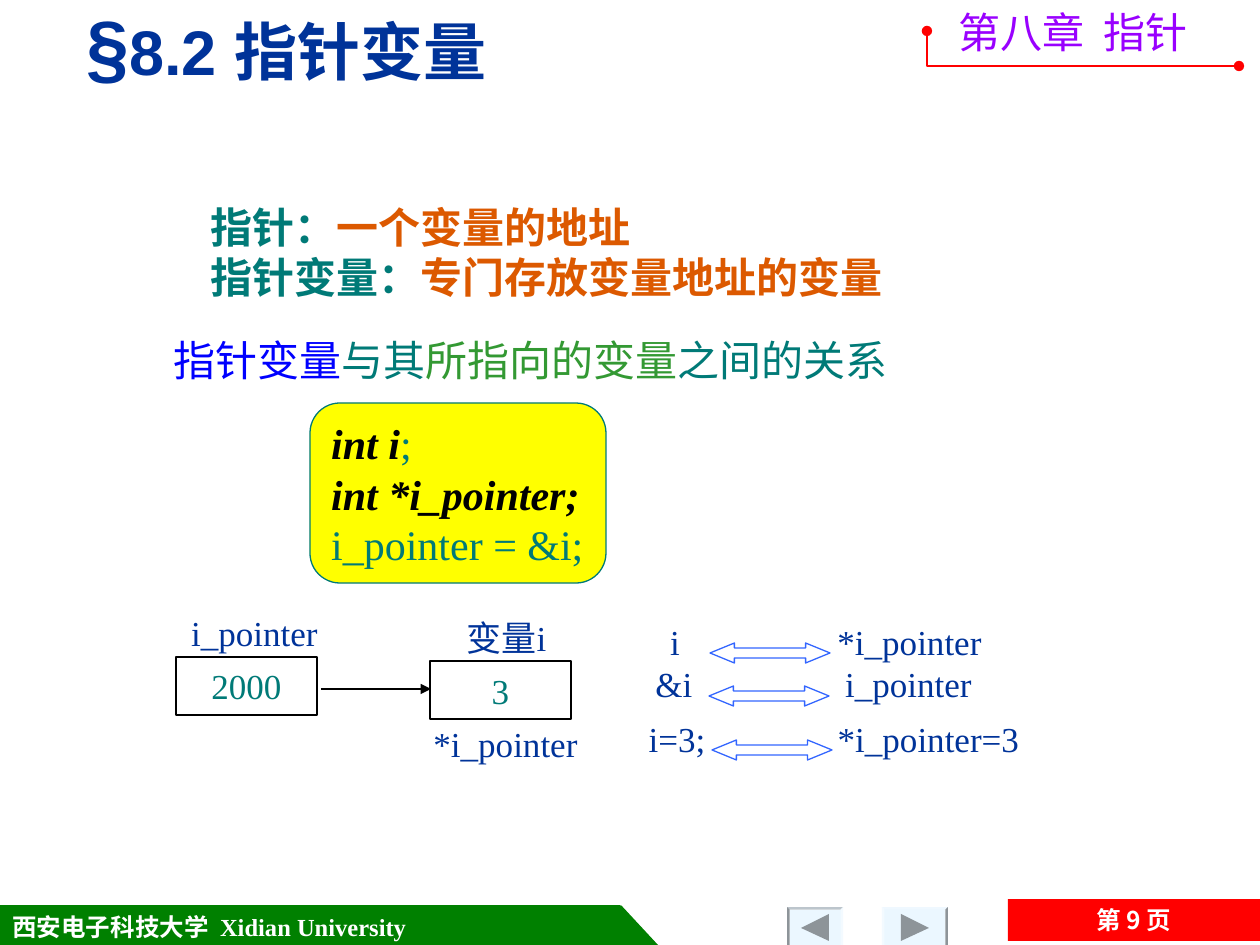
from dataclasses import dataclass
from typing import NamedTuple

from lxml.etree import SubElement
from pptx import Presentation
from pptx.dml.color import RGBColor
from pptx.enum.shapes import MSO_CONNECTOR, MSO_SHAPE
from pptx.enum.text import MSO_ANCHOR, MSO_AUTO_SIZE, PP_ALIGN
from pptx.oxml.ns import qn
from pptx.util import Emu, Pt


@dataclass(frozen=True)
class Theme:
    navy: str = "003399"
    teal: str = "007A77"
    orange: str = "DC5900"
    blue: str = "0000FF"
    leaf: str = "339933"
    purple: str = "9900FF"
    green: str = "008000"
    red: str = "FF0000"
    yellow: str = "FFFF00"
    arrow: str = "3366FF"
    button: str = "EBF7FF"
    symbol: str = "8D9499"
    black: str = "000000"
    white: str = "FFFFFF"
    serif: str = "Times New Roman"
    sans: str = "Arial"
    chinese: str = "Noto Sans CJK SC"
    section: int = 44
    title: int = 36
    body: int = 24
    label: int = 20
    footer: int = 14


THEME = Theme()


class Box(NamedTuple):
    left: int
    top: int
    width: int
    height: int


class Span(NamedTuple):
    text: str
    color: str
    size: int = THEME.body
    font: str = THEME.serif
    bold: bool = False
    italic: bool = False


class Label(NamedTuple):
    text: str
    box: Box


def px(length: int) -> Emu:
    return Emu(round(length * 914400 / 126))


def place(box: Box) -> list[Emu]:
    return [px(length) for length in box]


def paint(shape, fill: str | None, line: str | None, width: float = 0.75) -> None:
    shape.shadow.inherit = False
    if fill:
        shape.fill.solid()
        shape.fill.fore_color.rgb = RGBColor.from_string(fill)
    else:
        shape.fill.background()
    if line:
        shape.line.color.rgb = RGBColor.from_string(line)
        shape.line.width = Pt(width)
    else:
        shape.line.fill.background()


def write(shape, lines: list[list[Span]], align=PP_ALIGN.LEFT,
          anchor=MSO_ANCHOR.TOP, wrap: bool = True, spacing: float = 1.0) -> None:
    frame = shape.text_frame
    frame.auto_size = MSO_AUTO_SIZE.NONE
    frame.word_wrap = wrap
    frame.vertical_anchor = anchor
    frame.text = "\n".join("" for _ in lines)
    for para, spans in zip(frame.paragraphs, lines):
        para.alignment = align
        para.line_spacing = spacing
        para.space_before = Pt(0)
        for span in spans:
            run = para.add_run()
            run.text = span.text
            font = run.font
            font.name, font.size = span.font, Pt(span.size)
            font.bold, font.italic = span.bold, span.italic
            font.color.rgb = RGBColor.from_string(span.color)
            SubElement(run._r.get_or_add_rPr(), qn("a:ea"), typeface=THEME.chinese)


def add_preset(page, kind, box: Box, fill: str, line: str | None = None):
    shape = page.shapes.add_shape(kind, *place(box))
    paint(shape, fill, line)
    return shape


def add_text(page, box: Box, lines: list[list[Span]], **layout) -> None:
    write(page.shapes.add_textbox(*place(box)), lines, **layout)


def add_outline(page, points: list[tuple[int, int]], close: bool):
    builder = page.shapes.build_freeform(*points[0], scale=914400 / 126)
    builder.add_line_segments(points[1:], close=close)
    return builder.convert_to_shape()


def add_ends(shape, **ends: str) -> None:
    line = shape.line._get_or_add_ln()
    for name, kind in ends.items():
        SubElement(line, qn(f"a:{name}"), type=kind)


def add_label(page, label: Label) -> None:
    add_text(page, label.box, [[Span(label.text, THEME.navy, THEME.label)]],
             align=PP_ALIGN.CENTER, anchor=MSO_ANCHOR.MIDDLE, wrap=False)


def add_cell(page, box: Box, value: str) -> None:
    cell = add_preset(page, MSO_SHAPE.RECTANGLE, box, THEME.white, THEME.black)
    write(cell, [[Span(value, THEME.teal, THEME.label)]],
          align=PP_ALIGN.CENTER, anchor=MSO_ANCHOR.MIDDLE, wrap=False)


def add_button(page, box: Box, base: int, tip: int, rotation: int) -> None:
    bevel = add_preset(page, MSO_SHAPE.BEVEL, box, THEME.button)
    bevel.adjustments[0] = 0.06
    bevel.rotation = rotation
    triangle = add_outline(page, [(base, 914), (tip, 928), (base, 941)], close=True)
    paint(triangle, THEME.symbol, None)


def add_footer(page) -> None:
    band = add_preset(page, MSO_SHAPE.RECTANGLE, Box(0, 906, 620, 42),
                      THEME.green, THEME.green)
    write(band, [[Span("西安电子科技大学  Xidian University", THEME.white,
                       THEME.footer, bold=True)]],
          anchor=MSO_ANCHOR.MIDDLE, wrap=False)
    add_preset(page, MSO_SHAPE.RIGHT_TRIANGLE, Box(621, 906, 39, 42),
               THEME.green, THEME.green)
    add_button(page, Box(787, 907, 56, 42), 829, 801, 180)
    add_button(page, Box(882, 907, 66, 42), 901, 929, 0)
    number = add_preset(page, MSO_SHAPE.RECTANGLE, Box(1008, 899, 252, 42), THEME.red)
    write(number, [[Span("第 9 页", THEME.white, THEME.footer, THEME.chinese, True)]],
          align=PP_ALIGN.CENTER, anchor=MSO_ANCHOR.MIDDLE)


def add_header(page) -> None:
    title = page.shapes.title
    title.left, title.top, title.width, title.height = place(Box(74, 6, 1041, 91))
    write(title, [[Span("§", THEME.navy, THEME.section, THEME.sans, True),
                   Span("8.2 指针变量", THEME.navy, THEME.title, THEME.sans, True)]],
          anchor=MSO_ANCHOR.BOTTOM)
    add_text(page, Box(946, 0, 277, 63),
             [[Span("第八章  指针", THEME.purple, font=THEME.chinese)]], wrap=False)
    corner = add_outline(page, [(927, 31), (927, 66), (1239, 66)], close=False)
    paint(corner, None, THEME.red, 1.5)
    add_ends(corner, headEnd="oval", tailEnd="oval")


def add_definitions(page) -> None:
    terms = [("指针：", "一个变量的地址"), ("指针变量：", "专门存放变量地址的变量")]
    add_text(page, Box(198, 195, 989, 120),
             [[Span(term, THEME.teal, bold=True), Span(meaning, THEME.orange, bold=True)]
              for term, meaning in terms])
    relation = [("指针变量", THEME.blue), ("与其", THEME.teal),
                ("所指向的变量", THEME.leaf), ("之间的关系", THEME.teal)]
    add_text(page, Box(161, 334, 1062, 69),
             [[Span(text, color, font=THEME.sans) for text, color in relation]],
             spacing=0.9)


def add_code(page) -> None:
    card = add_preset(page, MSO_SHAPE.ROUNDED_RECTANGLE, Box(310, 403, 296, 180),
                      THEME.yellow, THEME.teal)
    write(card, [[Span("int i", THEME.black, bold=True, italic=True),
                  Span(";", THEME.teal)],
                 [Span("int *i_pointer;", THEME.black, bold=True, italic=True)],
                 [Span("i_pointer = &i;", THEME.teal)]])


def add_memory(page) -> None:
    add_cell(page, Box(176, 657, 141, 58), "2000")
    add_cell(page, Box(430, 661, 141, 58), "3")
    link = page.shapes.add_connector(MSO_CONNECTOR.STRAIGHT,
                                     px(321), px(689), px(431), px(689))
    link.line.color.rgb = RGBColor.from_string(THEME.black)
    link.line.width = Pt(0.75)
    add_ends(link, tailEnd="triangle")
    SubElement(link._element.spPr, qn("a:effectLst"))
    for label in (Label("i_pointer", Box(179, 605, 151, 55)),
                  Label("变量i", Box(450, 610, 113, 55)),
                  Label("*i_pointer", Box(421, 716, 169, 55))):
        add_label(page, label)


def add_equivalents(page) -> None:
    pairs = [(Label("i", Box(658, 614, 34, 55)), Label("*i_pointer", Box(825, 614, 169, 55)),
              Box(710, 643, 120, 20)),
             (Label("&i", Box(643, 656, 62, 55)), Label("i_pointer", Box(833, 656, 151, 55)),
              Box(709, 686, 120, 20)),
             (Label("i=3;", Box(636, 711, 82, 55)), Label("*i_pointer=3", Box(801, 711, 255, 55)),
              Box(712, 740, 120, 20))]
    for left, right, box in pairs:
        add_label(page, left)
        add_label(page, right)
        arrow = add_preset(page, MSO_SHAPE.LEFT_RIGHT_ARROW, box, THEME.white, THEME.arrow)
        arrow.adjustments[1] = 1.22


def main() -> None:
    deck = Presentation()
    deck.slide_width, deck.slide_height = px(1260), px(945)
    page = deck.slides.add_slide(deck.slide_layouts[5])
    for add_part in (add_footer, add_header, add_definitions,
                     add_code, add_memory, add_equivalents):
        add_part(page)
    deck.save("out.pptx")


if __name__ == "__main__":
    main()
